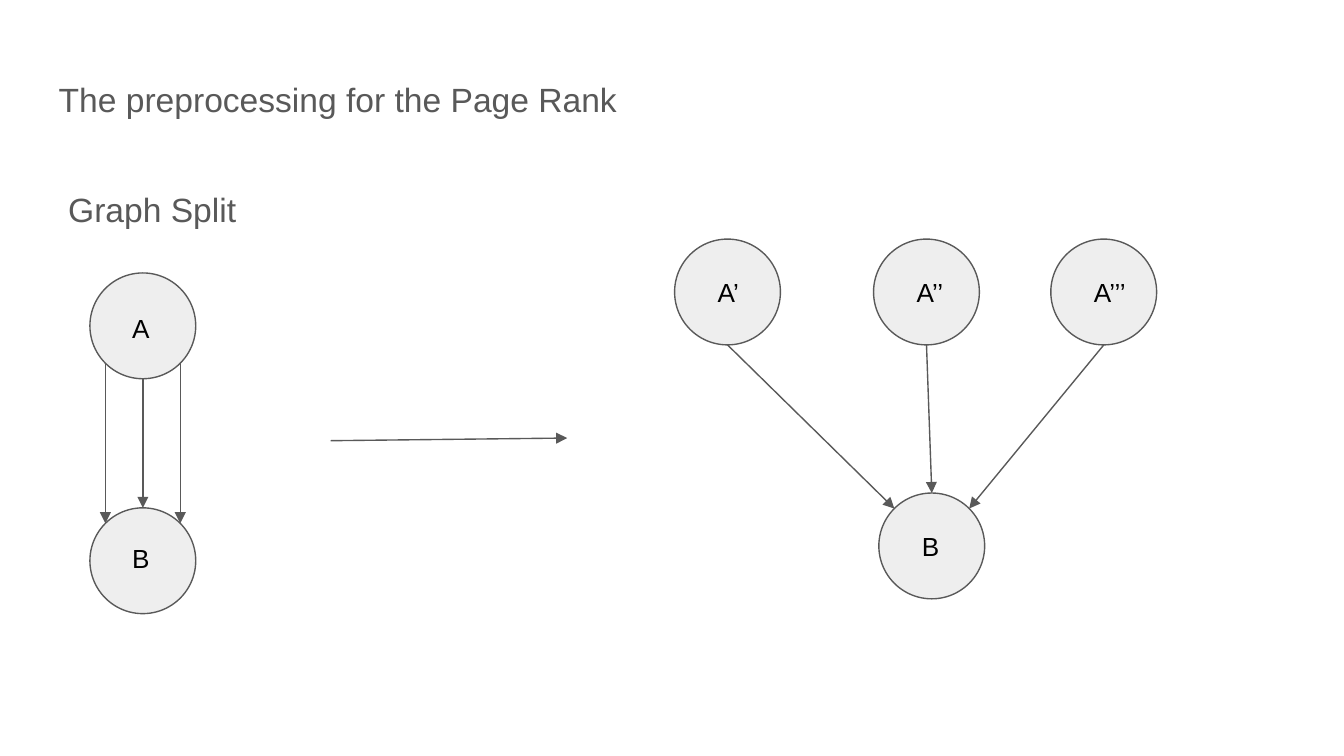
from dataclasses import dataclass
from math import sqrt

from lxml import etree
from pptx import Presentation
from pptx.dml.color import RGBColor
from pptx.enum.shapes import MSO_CONNECTOR, MSO_SHAPE
from pptx.enum.text import MSO_ANCHOR, MSO_AUTO_SIZE, PP_ALIGN
from pptx.oxml.ns import qn
from pptx.util import Cm, Pt

OVAL, STRAIGHT = MSO_SHAPE.OVAL, MSO_CONNECTOR.STRAIGHT
TOP, MIDDLE = MSO_ANCHOR.TOP, MSO_ANCHOR.MIDDLE
LEFT, NO_FIT = PP_ALIGN.LEFT, MSO_AUTO_SIZE.NONE

COLORS = {"gray": "595959", "node": "EEEEEE", "black": "000000"}
FONT = "Arial"
DIAMETER = 2.0
RADIUS = DIAMETER / 2
DIAGONAL = RADIUS / sqrt(2)
INSET = 0.25


@dataclass
class Node:
    """A circle, placed by its left and top in cm."""
    left: float
    top: float
    label: str = ""

    def edge(self, dx: int, dy: int) -> tuple[float, float]:
        """Point on the rim in one of eight directions."""
        reach = DIAGONAL if dx and dy else RADIUS
        return self.left + RADIUS + dx * reach, self.top + RADIUS + dy * reach


def rgb(name: str) -> RGBColor:
    return RGBColor.from_string(COLORS[name])


def write(s, text: str, size: int, color: str, indent: float = 0,
          anchor=TOP, spacing: float = 1.0, right: float = INSET) -> None:
    tf = s.text_frame
    tf.word_wrap, tf.auto_size, tf.vertical_anchor = True, NO_FIT, anchor
    tf.margin_top = tf.margin_bottom = Cm(INSET)
    tf.margin_left, tf.margin_right = Cm(INSET + indent), Cm(right)
    p = tf.paragraphs[0]
    p.text, p.alignment, p.line_spacing = text, LEFT, spacing
    p.font.name, p.font.size = FONT, Pt(size)
    p.font.color.rgb = rgb(color)


def add_text(left: float, top: float, width: float, height: float,
             text: str, size: int, color: str, indent: float,
             spacing: float = 1.0) -> None:
    s = sp.add_textbox(Cm(left), Cm(top), Cm(width), Cm(height))
    write(s, text, size, color, indent, spacing=spacing)


def add_node(node: Node) -> None:
    s = sp.add_shape(OVAL, Cm(node.left), Cm(node.top), Cm(DIAMETER), Cm(DIAMETER))
    s.shadow.inherit = False
    s.fill.solid()
    s.fill.fore_color.rgb = rgb("node")
    s.line.color.rgb = rgb("gray")
    s.line.width = Pt(0.75)
    if node.label:
        write(s, node.label, 14, "black", 0.27, MIDDLE, right=0)


def add_arrow(start: tuple[float, float], end: tuple[float, float]) -> None:
    c = sp.add_connector(STRAIGHT, *(Cm(v) for v in (*start, *end)))
    c.line.color.rgb = rgb("gray")
    c.line.width = Pt(0.75)
    etree.SubElement(c.line._get_or_add_ln(), qn("a:tailEnd"), type="triangle")
    etree.SubElement(c._element.spPr, qn("a:effectLst"))


prs = Presentation()
prs.slide_width, prs.slide_height = Cm(25.4), Cm(14.29)
slide = prs.slides.add_slide(prs.slide_layouts[5])
sp = slide.shapes

# Title and subheading
title = sp.title
title.left, title.top, title.width, title.height = Cm(0.86), Cm(1.24), Cm(23.67), Cm(1.6)
write(title, "The preprocessing for the Page Rank", 18, "gray")
add_text(0.86, 3.2, 23.67, 9.5, "Graph Split", 18, "gray", 0.18, 1.15)

# Graph before the split: labels sit in their own boxes
source, target = Node(1.7, 5.16), Node(1.7, 9.6)
for node, label, label_top in ((source, "A", 5.66), (target, "B", 10.01)):
    add_node(node)
    add_text(2.11, label_top, 1.17, 1.07, label, 14, "black", 0.14)
for side in (-1, 0, 1):
    add_arrow(source.edge(side, 1), target.edge(side, -1))

# Step from left graph to right graph
add_arrow((6.25, 8.33), (10.72, 8.28))

# Graph after the split: one copy of A per edge
copies = [Node(left, 4.52, "A" + "’" * n)
          for n, left in enumerate((12.75, 16.51, 19.86), 1)]
merged = Node(16.61, 9.32, "B")
for node in (*copies, merged):
    add_node(node)
for side, node in zip((-1, 0, 1), copies):
    add_arrow(node.edge(0, 1), merged.edge(side, -1))

prs.save("out.pptx")
